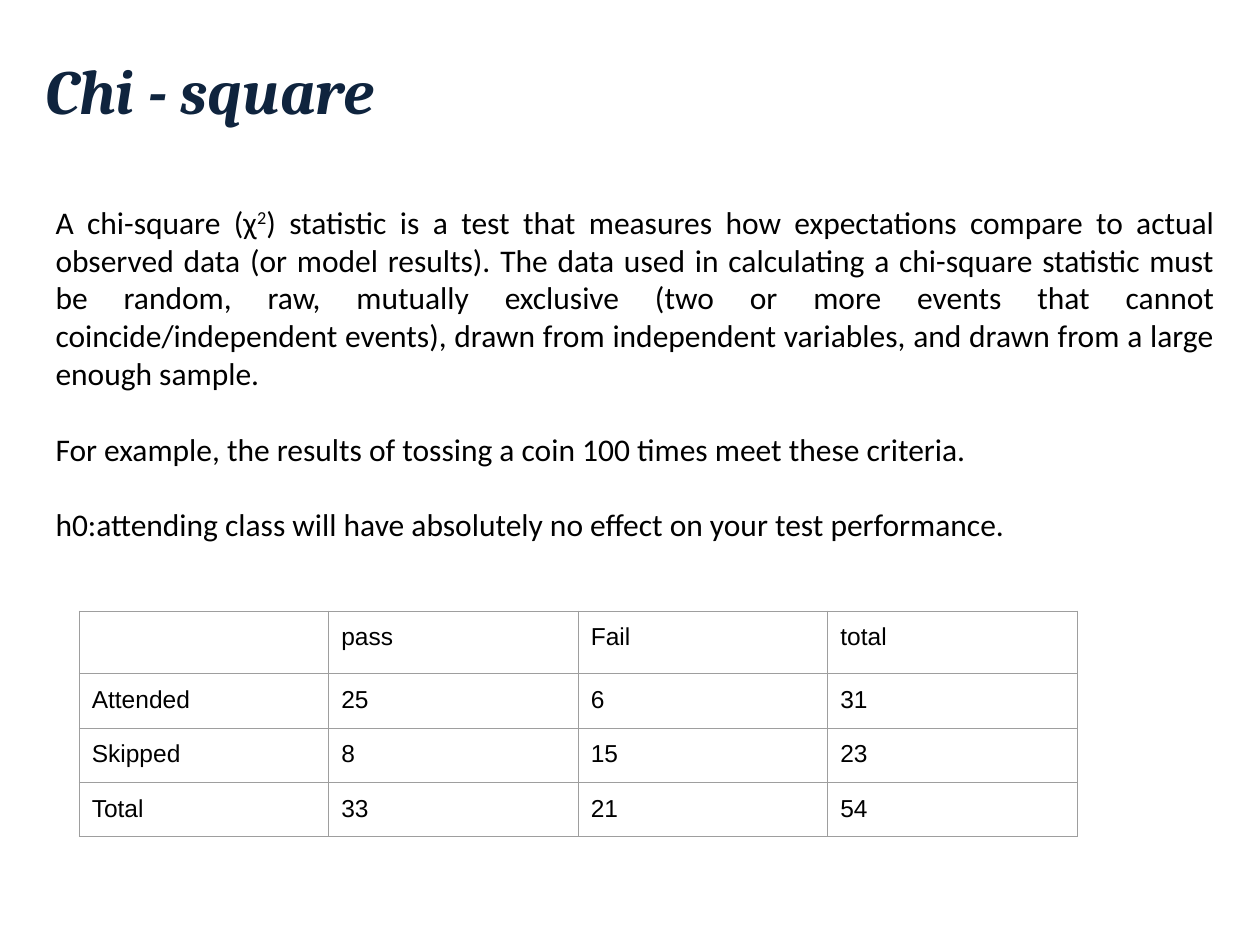
from lxml import etree
from pptx import Presentation
from pptx.dml.color import RGBColor
from pptx.enum.text import PP_ALIGN
from pptx.oxml.ns import qn
from pptx.util import Cm, Pt

JUSTIFY = PP_ALIGN.JUSTIFY
NAVY = RGBColor(0x0F, 0x24, 0x3E)
BLACK = RGBColor(0x00, 0x00, 0x00)
GREY = RGBColor(0x9E, 0x9E, 0x9E)

TITLE_FONT = {"name": "Cambria", "size": Pt(36), "bold": True, "italic": True}
BODY_FONT = {"name": "Calibri", "size": Pt(18)}
CELL_FONT = {"name": "Arial", "size": Pt(14)}
NO_MARGINS = dict.fromkeys(
    ("margin_left", "margin_top", "margin_right", "margin_bottom"), 0)
CELL_MARGINS = dict.fromkeys(NO_MARGINS, Cm(0.25))

PARAGRAPHS = [
    [("A chi-square (χ", False), ("2", True),
     (") statistic is a test that measures how expectations compare to actual "
      "observed data (or model results). The data used in calculating a "
      "chi-square statistic must be random, raw, mutually exclusive (two or "
      "more events that cannot coincide/independent events), drawn from "
      "independent variables, and drawn from a large enough sample.", False)],
    [("For example, the results of tossing a coin 100 times meet these "
      "criteria.", False)],
    [("h0:attending class will have absolutely no effect on your test "
      "performance.", False)],
]
RESULTS = [
    ["", "pass", "Fail", "total"],
    ["Attended", "25", "6", "31"],
    ["Skipped", "8", "15", "23"],
    ["Total", "33", "21", "54"],
]


def apply(target, values):
    for name, value in values.items():
        setattr(target, name, value)


def add_run(p, text, font, color):
    r = p.add_run()
    r.text = text
    apply(r.font, font)
    r.font.color.rgb = color
    return r


def add_text_frame(s, box):
    tf = s.shapes.add_textbox(*map(Cm, box)).text_frame
    apply(tf, {"word_wrap": True, **NO_MARGINS})
    return tf


def add_title(s, box):
    tf = add_text_frame(s, box)
    add_run(tf.paragraphs[0], "Chi - square", TITLE_FONT, NAVY)


def add_body(s, box):
    tf = add_text_frame(s, box)
    for i, parts in enumerate(PARAGRAPHS):
        p = tf.add_paragraph() if i else tf.paragraphs[0]
        apply(p, {"alignment": JUSTIFY, "space_before": Pt(21.6 if i else 0)})
        for text, raised in parts:
            r = add_run(p, text, BODY_FONT, BLACK)
            if raised:
                r.font._element.set("baseline", "30000")


def add_borders(cell):
    tc_pr = cell._tc.get_or_add_tcPr()
    for i, side in enumerate(("lnL", "lnR", "lnT", "lnB")):
        ln = etree.Element(qn(f"a:{side}"), w=str(Pt(0.75)))
        fill = etree.SubElement(ln, qn("a:solidFill"))
        etree.SubElement(fill, qn("a:srgbClr"), val=str(GREY))
        tc_pr.insert(i, ln)


def add_results(s, box, header_height):
    left, top, width, height = box
    rows, cols = len(RESULTS), len(RESULTS[0])
    table = s.shapes.add_table(rows, cols, *map(Cm, box)).table
    apply(table, {"first_row": False, "horz_banding": False})
    for column in table.columns:
        column.width = Cm(width / cols)
    for i, row in enumerate(table.rows):
        row.height = Cm((height - header_height) / (rows - 1) if i else header_height)
        for cell, text in zip(row.cells, RESULTS[i]):
            apply(cell, CELL_MARGINS)
            cell.fill.background()
            add_run(cell.text_frame.paragraphs[0], text, CELL_FONT, BLACK)
            add_borders(cell)


def main():
    prs = Presentation()
    apply(prs, {"slide_width": Cm(25.4), "slide_height": Cm(19.05)})
    s = prs.slides.add_slide(prs.slide_layouts[6])
    add_title(s, (0.91, 1.04, 23.37, 1.6))
    add_body(s, (1.12, 4.09, 23.37, 14.96))
    add_results(s, (1.6, 12.32, 20.12, 4.41), 1.21)
    prs.save("out.pptx")


if __name__ == "__main__":
    main()
